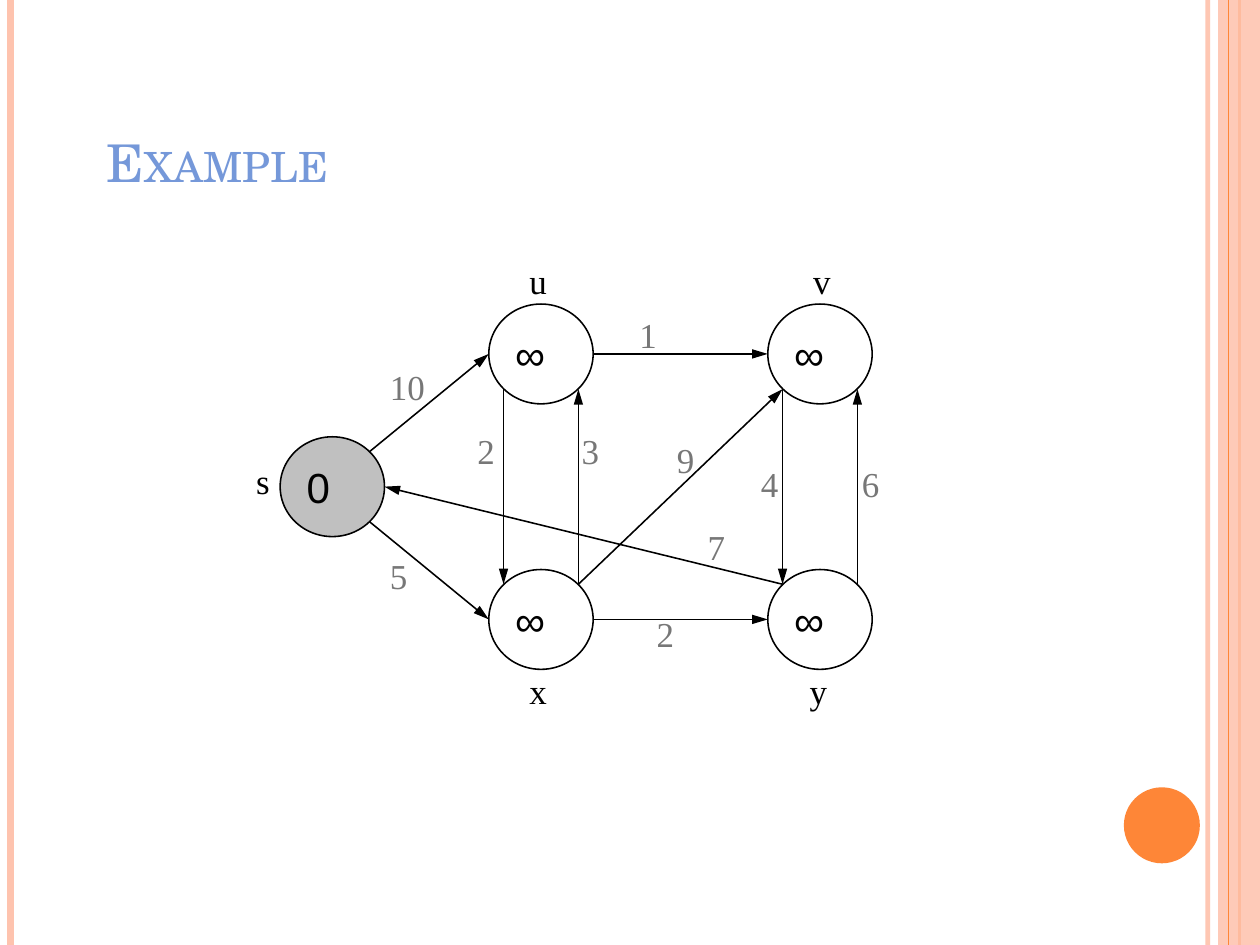
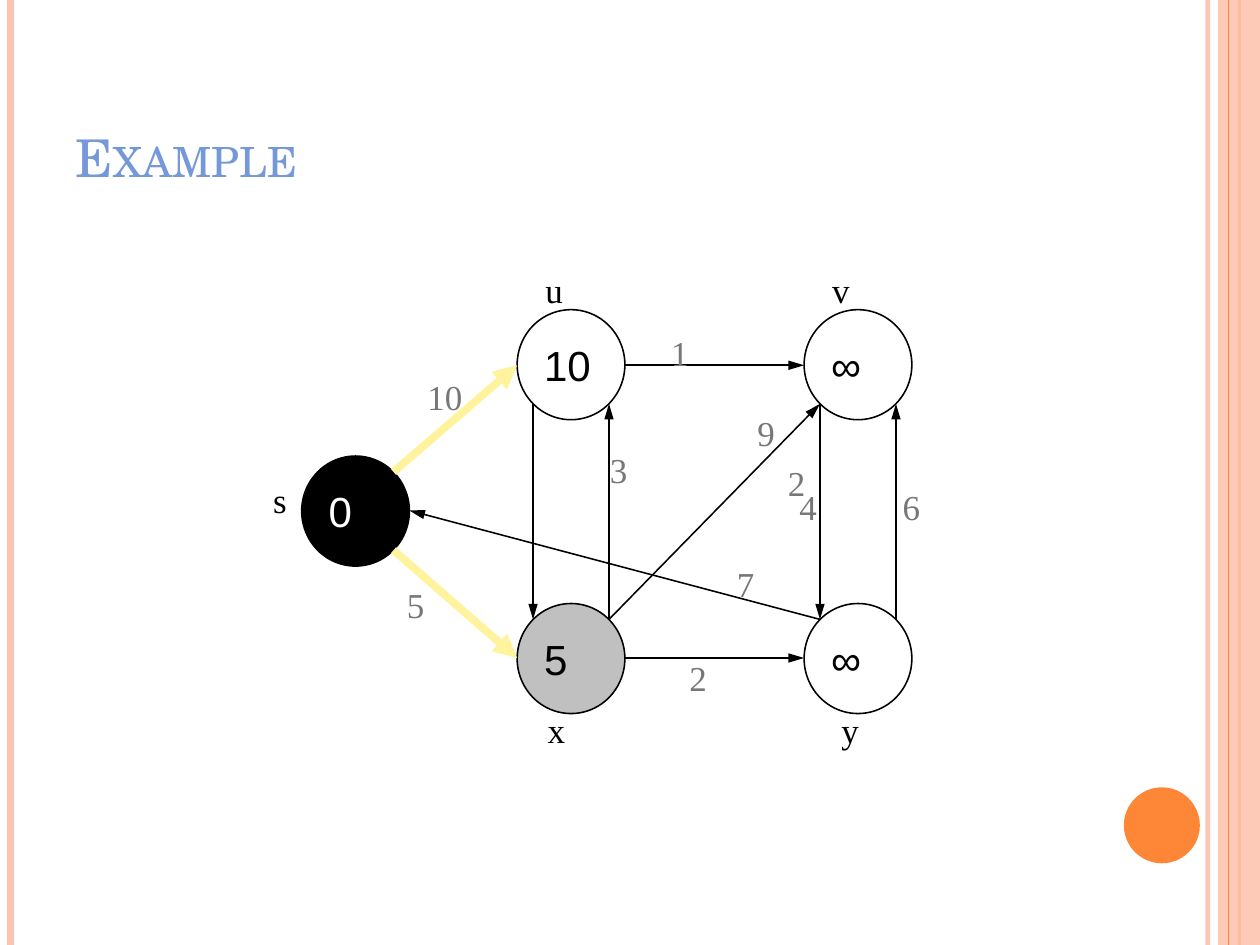
from dataclasses import dataclass
from math import sqrt

from lxml import etree
from pptx import Presentation
from pptx.dml.color import RGBColor
from pptx.enum import shapes, text
from pptx.oxml.ns import qn
from pptx.util import Emu, Pt

PX = 9144  # one px is a hundredth of an inch


@dataclass(frozen=True)
class Theme:
    """Colours, fonts and type sizes."""
    accent: str = "FE8637"
    pale: str = "FEC3AE"
    heading: str = "7598D9"
    ink: str = "000000"
    paper: str = "FFFFFF"
    muted: str = "777777"
    visited: str = "C0C0C0"
    highlight: str = "FFF39D"
    title_font: str = "TeX Gyre Schola"
    label_font: str = "Times New Roman"
    value_font: str = "Arial"
    title_size: float = 33
    label_size: float = 22.2
    value_size: float = 26.7


THEME = Theme()
WIDTH, HEIGHT = 1111, 833

# Places on a node's outline, as fractions of its width and height
NEAR = (1 - 1 / sqrt(2)) / 2
FAR = 1 - NEAR
SITES = {"e": (1, 0.5), "w": (0, 0.5), "nw": (NEAR, NEAR),
         "ne": (FAR, NEAR), "sw": (NEAR, FAR), "se": (FAR, FAR)}

# Edges of the graph: from node, site, to node, site
EDGES = [("u", "sw", "x", "nw"), ("x", "ne", "u", "se"),
         ("u", "e", "v", "w"), ("x", "ne", "v", "sw"),
         ("v", "sw", "y", "nw"), ("y", "ne", "v", "se"),
         ("x", "e", "y", "w"), ("y", "nw", "s", "e"),
         ("s", "se", "x", "w"), ("s", "ne", "u", "w")]


@dataclass
class Graph:
    """Layout and state of one step of the shortest-path example."""
    size: tuple      # node width and height
    columns: tuple   # left of s, of u and x, of v and y
    rows: tuple      # top of u and v, of x and y
    values: dict     # node: (distance, fill)
    names: dict      # node: left, top of its name
    weights: list    # (weight, left, top)
    wide: list       # the same, in boxes as wide as a node
    relaxed: str = ""  # edges leaving this node are highlighted

    def corner(self, node):
        source, left, right = self.columns
        top, bottom = self.rows
        return {"s": (source, (top + bottom) // 2), "u": (left, top),
                "v": (right, top), "x": (left, bottom),
                "y": (right, bottom)}[node]

    def site(self, node, name):
        return [round(start + length * part) for start, length, part
                in zip(self.corner(node), self.size, SITES[name])]


class Deck:
    def __init__(self, theme):
        self.theme = theme
        self.deck = Presentation()
        self.deck.slide_width = Emu(WIDTH * PX)
        self.deck.slide_height = Emu(HEIGHT * PX)
        self.layout = self.deck.slide_layouts[5]
        self.page = None

    def new_page(self, title, left, top, width):
        self.page = self.deck.slides.add_slide(self.layout)
        if len(self.deck.slides) == 1:
            self.frame()
        self.title(title, left, top, width)

    # Shared bands, moved once to the layout
    def frame(self):
        theme = self.theme
        parts = [
            self.line((1065, 0), (1065, HEIGHT), theme.pale, 3, alpha=93),
            self.line((9, 0), (9, HEIGHT), theme.pale, 4.5),
            self.line((1093, 0), (1093, HEIGHT), theme.accent, 1.5),
            self.shape(shapes.MSO_SHAPE.RECTANGLE, 1074, 0, 37, HEIGHT,
                       theme.pale, alpha=87),
            self.line((1083, 0), (1083, HEIGHT), theme.accent, 0.75),
            self.shape(shapes.MSO_SHAPE.OVAL, 991, 694, 67, 67, theme.accent),
        ]
        for number, part in enumerate(parts, 101):
            part._element.xpath(".//p:cNvPr")[0].set("id", str(number))
            self.layout.shapes._spTree.append(part._element)

    # Text
    def fill_text(self, box, words, font, size, color):
        para = box.text_frame.paragraphs[0]
        para.text = words
        para.alignment = text.PP_ALIGN.LEFT
        para.font.name = font
        para.font.size = Pt(size)
        para.font.color.rgb = RGBColor.from_string(color)
        return para

    def title(self, words, left, top, width):
        box = self.page.shapes.title
        box.left, box.top, box.width, box.height = (
            Emu(length * PX) for length in (left, top, width, 139))
        frame = box.text_frame
        frame.auto_size = text.MSO_AUTO_SIZE.NONE
        frame.vertical_anchor = text.MSO_ANCHOR.BOTTOM
        frame.margin_left = frame.margin_right = Emu(11 * PX)
        frame.margin_top = frame.margin_bottom = Emu(6 * PX)
        theme = self.theme
        para = self.fill_text(box, words, theme.title_font, theme.title_size,
                              theme.heading)
        for span in para.runs:
            span._r.get_or_add_rPr().set("cap", "small")

    def label(self, words, left, top, width, color):
        box = self.page.shapes.add_textbox(
            *(Emu(length * PX) for length in (left, top, width, 47)))
        frame = box.text_frame
        frame.word_wrap = True
        frame.margin_top, frame.margin_bottom = Emu(9 * PX), Emu(2 * PX)
        self.fill_text(box, words, self.theme.label_font,
                       self.theme.label_size, color)

    # Shapes and lines
    def fade(self, element, alpha):
        color = element.find(".//" + qn("a:srgbClr"))
        etree.SubElement(color, qn("a:alpha")).set("val", str(alpha * 1000))

    def shape(self, kind, left, top, width, height, fill=None, outline=None,
              alpha=None):
        item = self.page.shapes.add_shape(
            kind, *(Emu(length * PX) for length in (left, top, width, height)))
        item.shadow.inherit = False
        if fill:
            item.fill.solid()
            item.fill.fore_color.rgb = RGBColor.from_string(fill)
        else:
            item.fill.background()
        if outline:
            item.line.color.rgb = RGBColor.from_string(outline)
            item.line.width = Pt(1)
        else:
            item.line.fill.background()
        if alpha:
            self.fade(item._element.spPr, alpha)
        return item

    def line(self, start, end, color, weight, alpha=None):
        item = self.page.shapes.add_connector(
            shapes.MSO_CONNECTOR.STRAIGHT,
            *(Emu(length * PX) for length in (*start, *end)))
        item.line.color.rgb = RGBColor.from_string(color)
        item.line.width = Pt(weight)
        etree.SubElement(item._element.spPr, qn("a:effectLst"))
        if alpha:
            self.fade(item._element.spPr, alpha)
        return item

    def arrow(self, start, end, color, weight, length):
        item = self.line(start, end, color, weight)
        head = etree.SubElement(item.line._ln, qn("a:tailEnd"))
        for key, value in (("type", "triangle"), ("w", "med"), ("len", length)):
            head.set(key, value)

    # Graph
    def node(self, left, top, size, value, fill):
        theme = self.theme
        circle = self.shape(shapes.MSO_SHAPE.OVAL, left, top, *size, fill,
                            theme.ink)
        circle.text_frame.word_wrap = True
        circle.text_frame.vertical_anchor = text.MSO_ANCHOR.MIDDLE
        self.fill_text(circle, value, theme.value_font, theme.value_size,
                       theme.paper if fill == theme.ink else theme.ink)

    def graph(self, graph):
        theme = self.theme
        for node, (value, fill) in graph.values.items():
            self.node(*graph.corner(node), graph.size, value, fill)
        for tail, leave, head, enter in EDGES:
            style = ((theme.highlight, 5, "med") if tail == graph.relaxed
                     else (theme.ink, 1, "lg"))
            self.arrow(graph.site(tail, leave), graph.site(head, enter), *style)
        wide = graph.size[0]
        narrow = round(wide * 2 / 3)
        for name, (left, top) in graph.names.items():
            self.label(name, left, top, narrow, theme.ink)
        for width, labels in ((wide, graph.wide), (narrow, graph.weights)):
            for weight, left, top in labels:
                self.label(weight, left, top, width, theme.muted)


START = Graph(
    size=(92, 88), columns=(247, 431, 677), rows=(268, 502),
    values={"u": ("∞", None), "v": ("∞", None), "x": ("∞", None),
            "y": ("∞", None), "s": ("0", THEME.visited)},
    names={"s": (216, 396), "u": (457, 220), "v": (707, 220),
           "y": (704, 581), "x": (457, 581)},
    wide=[("10", 334, 313), ("5", 334, 480), ("1", 554, 267)],
    weights=[("3", 503, 370), ("2", 411, 370), ("9", 587, 378),
             ("4", 661, 399), ("6", 750, 399), ("7", 614, 454),
             ("2", 569, 531)])

FIRST_STEP = Graph(
    size=(95, 97), columns=(266, 456, 709), rows=(273, 532),
    values={"u": ("10", None), "v": ("∞", None), "x": ("5", THEME.visited),
            "y": ("∞", None), "s": ("0", THEME.ink)},
    names={"s": (231, 413), "u": (471, 228), "v": (724, 228),
           "y": (732, 616), "x": (473, 616)},
    wide=[("10", 367, 322), ("5", 349, 505), ("1", 582, 283)],
    weights=[("2", 685, 398), ("3", 528, 386), ("9", 658, 354),
             ("4", 695, 419), ("6", 786, 419), ("7", 640, 487),
             ("2", 598, 570)],
    relaxed="s")


def main():
    deck = Deck(THEME)
    deck.new_page("Example", 83, 37, 944)
    deck.graph(START)
    deck.new_page("Example", 56, 33, 907)
    deck.graph(FIRST_STEP)
    deck.deck.save("out.pptx")


if __name__ == "__main__":
    main()
